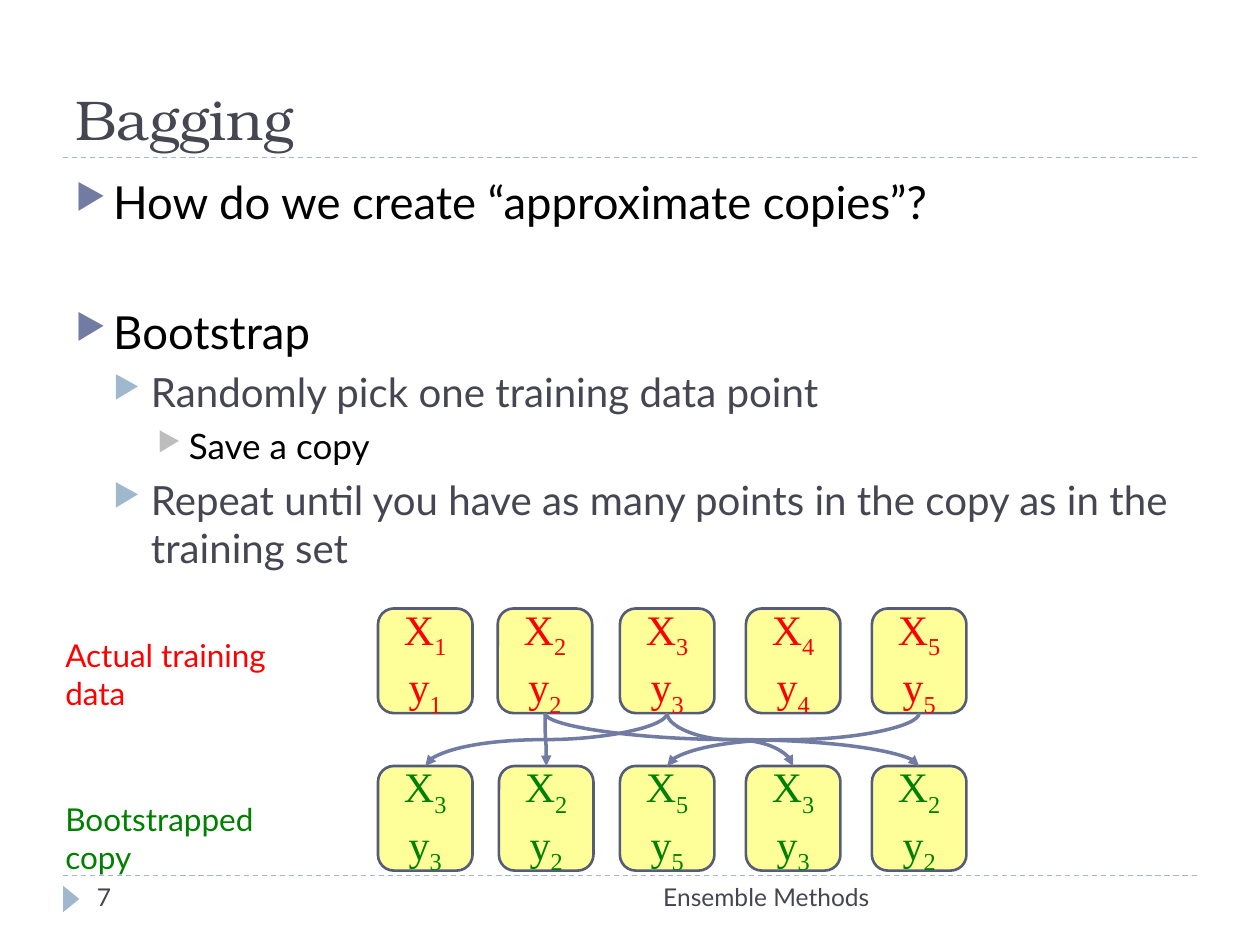
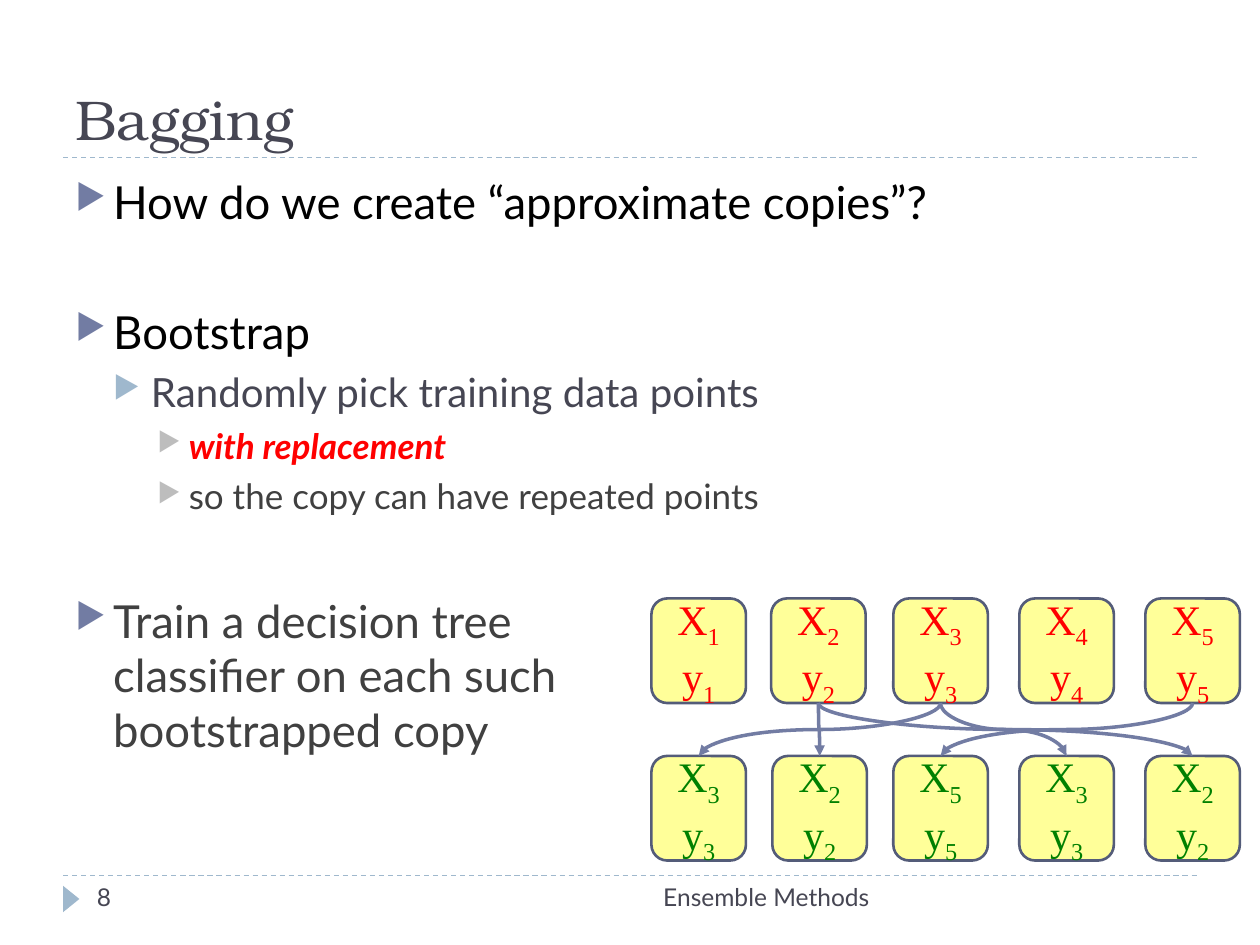
from lxml import etree
from pptx import Presentation
from pptx.dml.color import RGBColor
from pptx.enum.dml import MSO_LINE
from pptx.enum.shapes import MSO_CONNECTOR, MSO_SHAPE
from pptx.enum.text import MSO_ANCHOR, PP_ALIGN
from pptx.oxml.ns import qn
from pptx.util import Inches, Pt

DASH = MSO_LINE.DASH
CURVE, STRAIGHT = MSO_CONNECTOR.CURVE, MSO_CONNECTOR.STRAIGHT
ROUNDED, TRIANGLE = MSO_SHAPE.ROUNDED_RECTANGLE, MSO_SHAPE.ISOSCELES_TRIANGLE
TOP, MIDDLE, BOTTOM = MSO_ANCHOR.TOP, MSO_ANCHOR.MIDDLE, MSO_ANCHOR.BOTTOM
LEFT, CENTER, RIGHT = PP_ALIGN.LEFT, PP_ALIGN.CENTER, PP_ALIGN.RIGHT

COLORS = {
    "heading": "464653",
    "text": "000000",
    "soft": "404040",
    "accent": "727CA3",
    "pale": "9FB8CD",
    "grey": "BDBDBD",
    "outline": "545C79",
    "point": "FFFF00",
    "actual": "FF0000",
    "copy": "008000",
}
TITLE_FONT, BODY_FONT, MATH_FONT = "TeX Gyre Bonum", "Lato", "Times New Roman"

LEVELS = [
    {"size": 26, "margin": 0.3, "hanging": 0.3, "before": 6, "bullet": "accent"},
    {"size": 23, "margin": 0.6, "hanging": 0.3, "before": 5, "bullet": "pale"},
    {"size": 20, "margin": 0.9, "hanging": 0.25, "before": 5, "bullet": "grey"},
]
SECTION_GAP = 37.2

POINT_WIDTH, POINT_HEIGHT, ROW_STEP = 0.75, 0.83, 1.25
ACTUAL_OFFSETS = [0, 0.95, 1.92, 2.92, 3.92]
COPY_OFFSETS = [0, 0.96, 1.92, 2.92, 3.92]
ACTUAL_INDICES = [1, 2, 3, 4, 5]
PICKED_INDICES = [3, 2, 5, 3, 2]


def color(name):
    return RGBColor.from_string(COLORS[name])


class Deck:
    def __init__(self):
        self.presentation = Presentation()
        self.presentation.slide_width = Inches(10)
        self.presentation.slide_height = Inches(7.5)
        self.slide = None

    def start_slide(self, title, number):
        layout = self.presentation.slide_layouts[6]
        self.slide = self.presentation.slides.add_slide(layout)
        for y in (6.95, 1.25):
            self.rule(y)
        self.footer_marker()
        self.text(title, 0.5, 0.17, 9, 1.08, 32, "heading", TITLE_FONT, anchor=BOTTOM)
        self.text("Ensemble Methods", 3.17, 6.95, 3.83, 0.4, 14, "heading", align=RIGHT)
        self.text(str(number), 0.67, 6.95, 2.17, 0.4, 14, "heading")

    def connector(self, kind, start, end, line_color, width):
        connector = self.slide.shapes.add_connector(
            kind, *[Inches(value) for value in (*start, *end)])
        connector.line.color.rgb = color(line_color)
        connector.line.width = Pt(width)
        etree.SubElement(connector._element.spPr, qn("a:effectLst"))
        return connector

    def rule(self, y):
        line = self.connector(STRAIGHT, (0.5, y), (9.5, y), "pale", 0.75)
        line.line.dash_style = DASH

    def shape(self, kind, left, top, width, height, fill):
        shape = self.slide.shapes.add_shape(
            kind, Inches(left), Inches(top), Inches(width), Inches(height))
        shape.shadow.inherit = False
        shape.fill.solid()
        shape.fill.fore_color.rgb = color(fill)
        return shape

    def footer_marker(self):
        marker = self.shape(TRIANGLE, 0.46, 7.07, 0.21, 0.13, "pale")
        marker.line.fill.background()
        marker.rotation = 90

    def format_run(self, run, size, color_name, font=BODY_FONT):
        run.font.size = Pt(size)
        run.font.name = font
        run.font.color.rgb = color(color_name)

    def text_frame(self, left, top, width, height, anchor=TOP):
        box = self.slide.shapes.add_textbox(
            Inches(left), Inches(top), Inches(width), Inches(height))
        box.text_frame.word_wrap = True
        box.text_frame.vertical_anchor = anchor
        return box.text_frame

    def text(self, words, left, top, width, height, size, color_name,
             font=BODY_FONT, align=LEFT, anchor=TOP):
        frame = self.text_frame(left, top, width, height, anchor)
        frame.text = words
        paragraph = frame.paragraphs[0]
        paragraph.alignment = align
        self.format_run(paragraph.runs[0], size, color_name, font)

    def bullets(self, items):
        frame = self.text_frame(0.5, 1.33, 9, 5.4)
        for index, (level, words, color_name) in enumerate(items):
            style = LEVELS[level]
            paragraph = frame.paragraphs[0] if index == 0 else frame.add_paragraph()
            paragraph.text = words
            paragraph.level = level
            opens_section = level == 0 and index > 0
            paragraph.space_before = Pt(style["before"] + SECTION_GAP * opens_section)
            self.bullet(paragraph, style)
            for run in paragraph.runs:
                self.format_run(run, style["size"], color_name)
                if color_name == "actual":
                    run.font.bold = run.font.italic = True

    def bullet(self, paragraph, style):
        properties = paragraph._p.get_or_add_pPr()
        properties.set("marL", str(Inches(style["margin"])))
        properties.set("indent", str(-Inches(style["hanging"])))
        bullet_color = etree.SubElement(properties, qn("a:buClr"))
        etree.SubElement(bullet_color, qn("a:srgbClr"), val=COLORS[style["bullet"]])
        etree.SubElement(properties, qn("a:buSzPct"), val="76000")
        etree.SubElement(properties, qn("a:buChar"), char="▶")

    def data_point(self, left, top, index, color_name):
        shape = self.shape(ROUNDED, left, top, POINT_WIDTH, POINT_HEIGHT, "point")
        fill = shape._element.spPr.find(qn("a:solidFill"))
        etree.SubElement(fill[0], qn("a:alpha"), val="40000")
        shape.line.color.rgb = color("outline")
        shape.line.width = Pt(1.5)
        frame = shape.text_frame
        frame.word_wrap = True
        frame.vertical_anchor = MIDDLE
        paragraph = frame.paragraphs[0]
        paragraph.alignment = CENTER
        for words in ("X", str(index), " y", str(index)):
            run = paragraph.add_run()
            run.text = words
            self.format_run(run, 24, color_name, MATH_FONT)
            if words.isdigit():
                run._r.get_or_add_rPr().set("baseline", "-25000")

    def curved_arrow(self, start_x, start_y, end_x, end_y):
        middle_x, middle_y = (start_x + end_x) / 2, (start_y + end_y) / 2
        half_drop, half_span = (end_y - start_y) / 2, abs(end_x - start_x) / 2
        rightward = end_x > start_x
        side = half_drop if rightward else -half_drop
        arrow = self.connector(
            CURVE,
            (middle_x + side, middle_y - half_span),
            (middle_x - side, middle_y + half_span),
            "accent", 2)
        turn = 270 if rightward else 90
        properties = arrow._element.spPr
        properties.find(qn("a:xfrm")).set("rot", str(turn * 60000))
        etree.SubElement(properties.find(qn("a:ln")), qn("a:tailEnd"), type="triangle")

    def bootstrap_diagram(self, left, top):
        copy_top = top + ROW_STEP
        for offset, index in zip(ACTUAL_OFFSETS, ACTUAL_INDICES):
            self.data_point(left + offset, top, index, "actual")
        for offset, index in zip(COPY_OFFSETS, PICKED_INDICES):
            self.data_point(left + offset, copy_top, index, "copy")
        center = left + POINT_WIDTH / 2
        for offset, index in zip(COPY_OFFSETS, PICKED_INDICES):
            self.curved_arrow(center + ACTUAL_OFFSETS[index - 1], top + POINT_HEIGHT,
                              center + offset, copy_top)


deck = Deck()
opening = [
    (0, "How do we create “approximate copies”?", "text"),
    (0, "Bootstrap", "text"),
]

deck.start_slide("Bagging", 7)
deck.bullets(opening + [
    (1, "Randomly pick one training data point", "heading"),
    (2, "Save a copy", "text"),
    (1, "Repeat until you have as many points in the copy as in the training set",
     "heading"),
])
deck.bootstrap_diagram(3, 4.83)
deck.text("Actual training data", 0.42, 5, 2.25, 0.4, 18, "actual")
deck.text("Bootstrapped copy", 0.42, 6.3, 2.25, 0.4, 18, "copy")

deck.start_slide("Bagging", 8)
deck.bullets(opening + [
    (1, "Randomly pick training data points", "heading"),
    (2, "with replacement", "actual"),
    (2, "so the copy can have repeated points", "soft"),
    (0, "Train a decision tree\vclassifier on each such\vbootstrapped copy", "soft"),
])
deck.bootstrap_diagram(5.17, 4.75)

deck.presentation.save("out.pptx")
